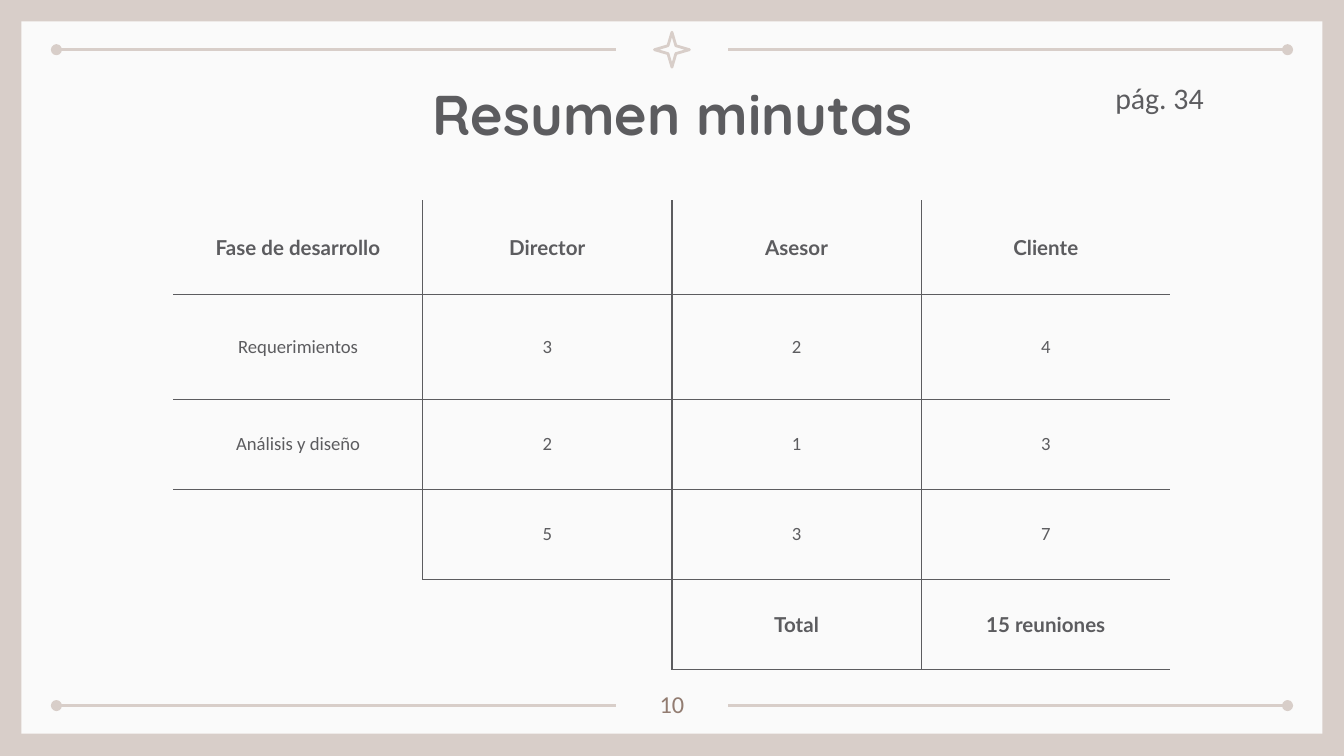
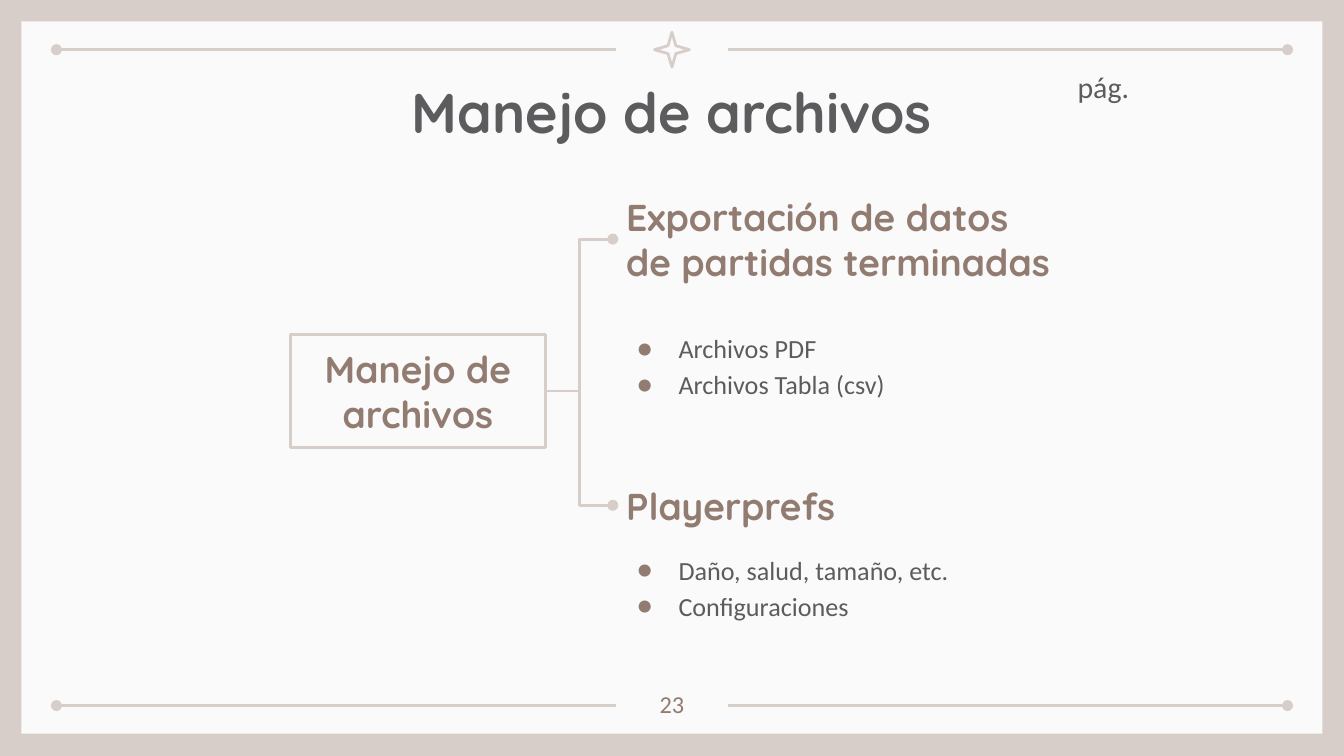
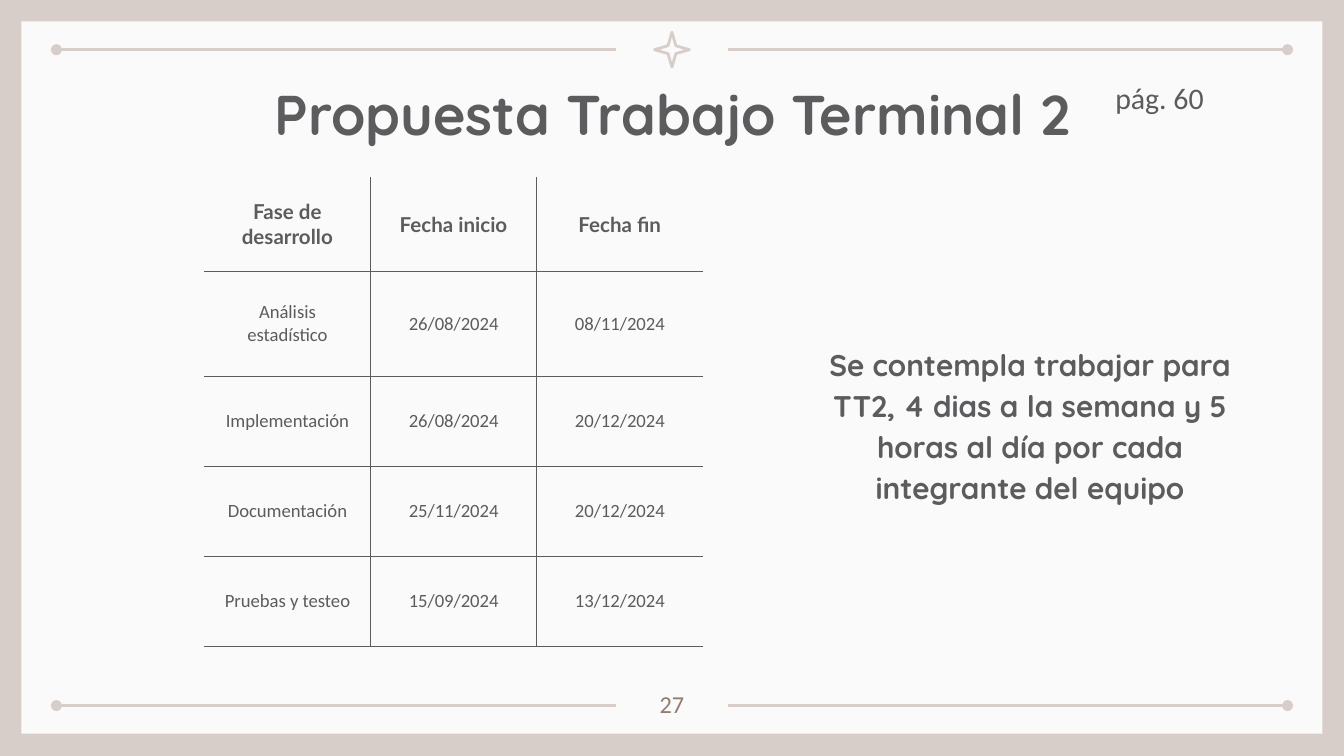
from pptx import Presentation
from pptx.dml.color import RGBColor
from pptx.enum.shapes import MSO_CONNECTOR as CONN, MSO_SHAPE as SHAPE
from pptx.enum.text import MSO_ANCHOR as ANCHOR, PP_ALIGN as ALIGN
from pptx.oxml.ns import qn
from pptx.util import Inches, Pt
from lxml.etree import SubElement

SAND, PAPER, GREY, BROWN = "D8CEC9", "FAFAFA", "5C5C5F", "927C71"
HEAD, BODY, STRONG = "Quicksand", "Calibri", "Lato"
WIDTH = 10
HEIGHT = WIDTH * 9 / 16
TITLE_BOX = (0.79, 0.49, 8.43, 0.63)
PAGE_BOX = (8.2, 0.49, 1.35, 0.45)
ROW_HEIGHTS = (0.7, 0.78, 0.67, 0.67, 0.67)


def rgb(value):
    """Turn a hex string into a colour."""
    return RGBColor.from_string(value)


def add_run(p, text, size, font, color, bold=False):
    """Add one formatted run to a paragraph."""
    r = p.add_run()
    r.text = text
    r.font.size, r.font.name, r.font.bold = Pt(size), font, bold
    r.font.color.rgb = rgb(color)


def open_frame(sp, anchor=ANCHOR.TOP):
    """Return a shape's text frame, wrapped and with even margins."""
    tf = sp.text_frame
    tf.word_wrap = True
    tf.vertical_anchor = anchor
    tf.margin_left = tf.margin_right = tf.margin_top = tf.margin_bottom = Inches(0.1)
    return tf


def set_text(sp, text, size, font, color, bold=False, align=ALIGN.LEFT,
             anchor=ANCHOR.TOP, spacing=None):
    """Fill a shape with one wrapped paragraph."""
    p = open_frame(sp, anchor).paragraphs[0]
    p.alignment = align
    if spacing:
        p.line_spacing = spacing
    add_run(p, text, size, font, color, bold)


def add_text(s, box, *args, **style):
    """Add a text box with one paragraph."""
    sp = s.shapes.add_textbox(*map(Inches, box))
    set_text(sp, *args, **style)
    return sp


def add_box(s, kind, box, fill=None, line=None):
    """Add a preset shape with a plain fill or outline."""
    sp = s.shapes.add_shape(kind, *map(Inches, box))
    sp.shadow.inherit = False
    if fill:
        sp.fill.solid()
        sp.fill.fore_color.rgb = rgb(fill)
    else:
        sp.fill.background()
    if line:
        sp.line.color.rgb = rgb(line)
        sp.line.width = Pt(1.5)
    else:
        sp.line.fill.background()
    return sp


def add_dotted_line(s, kind, x1, y1, x2, y2):
    """Add a connector that ends in a dot."""
    c = s.shapes.add_connector(kind, *map(Inches, (x1, y1, x2, y2)))
    c.line.color.rgb = rgb(SAND)
    c.line.width = Pt(1.5)
    spPr = c._element.spPr
    SubElement(spPr.find(qn("a:ln")), qn("a:tailEnd"), type="oval")
    SubElement(spPr, qn("a:effectLst"))
    return c


def add_frame(s, number):
    """Draw the border, rules, star and slide number."""
    s.background.fill.solid()
    s.background.fill.fore_color.rgb = rgb(SAND)
    add_box(s, SHAPE.RECTANGLE, (0.16, 0.16, 9.68, 5.3), fill=PAPER)
    for y in (0.37, 5.25):
        for inner, outer in ((4.58, 0.42), (5.42, 9.58)):
            add_dotted_line(s, CONN.STRAIGHT, inner, y, outer, y)
    star = add_box(s, SHAPE.STAR_4_POINT, (4.87, 0.24, 0.26, 0.26), line=SAND)
    star.adjustments[0] = 0.16
    add_text(s, (4.7, 5.03, 0.6, 0.36), number, 13, BODY, BROWN, align=ALIGN.CENTER)


def new_slide(prs, number, title, page, title_box=TITLE_BOX, page_box=PAGE_BOX):
    """Add a framed slide with its title and page reference."""
    s = prs.slides.add_slide(prs.slide_layouts[6])
    add_frame(s, number)
    add_text(s, title_box, title, 30, HEAD, GREY, True, ALIGN.CENTER)
    add_text(s, page_box, page, 16, BODY, GREY)
    return s


def set_borders(cell, edges):
    """Draw or clear each edge of a cell."""
    tcPr = cell._tc.get_or_add_tcPr()
    for side, shown in edges.items():
        ln = SubElement(tcPr, qn("a:ln" + side), w=str(Pt(0.75)))
        if shown:
            SubElement(SubElement(ln, qn("a:solidFill")), qn("a:srgbClr"), val=GREY)
        else:
            SubElement(ln, qn("a:noFill"))


def add_grid(s, left, top, width, rows, strong_rows):
    """Add a table ruled inside and below its filled cells."""
    n_rows, n_cols = len(rows), len(rows[0])
    box = map(Inches, (left, top, width, sum(ROW_HEIGHTS)))
    table = s.shapes.add_table(n_rows, n_cols, *box).table
    table.first_row = table.horz_banding = False
    for col in table.columns:
        col.width = Inches(width / n_cols)
    for row, height in zip(table.rows, ROW_HEIGHTS):
        row.height = Inches(height)

    def ruled(i, j, i2, j2):
        return any(rows[a][b] for a, b in ((i, j), (i2, j2)))

    for i, texts in enumerate(rows):
        for j, text in enumerate(texts):
            cell = table.cell(i, j)
            set_borders(cell, {
                "L": j > 0 and ruled(i, j, i, j - 1),
                "R": j < n_cols - 1 and ruled(i, j, i, j + 1),
                "T": i > 0 and ruled(i, j, i - 1, j),
                "B": ruled(i, j, min(i + 1, n_rows - 1), j)})
            cell.fill.background()
            cell.vertical_anchor = ANCHOR.MIDDLE
            cell.margin_left = cell.margin_right = Inches(0.1)
            cell.margin_top = cell.margin_bottom = 0
            if not text:
                continue
            p = cell.text_frame.paragraphs[0]
            p.alignment = ALIGN.CENTER
            if i:
                p.space_after = Pt(16)
            strong = i in strong_rows
            add_run(p, text, 11 if strong else 10, STRONG if strong else BODY, GREY, strong)


def add_bullets(s, box, items):
    """Add a bulleted list."""
    tf = open_frame(s.shapes.add_textbox(*map(Inches, box)))
    for i, item in enumerate(items):
        p = tf.add_paragraph() if i else tf.paragraphs[0]
        p.line_spacing = 1.15
        pPr = p._p.get_or_add_pPr()
        pPr.set("marL", str(Inches(0.31)))
        pPr.set("indent", str(Inches(-0.35)))
        SubElement(SubElement(pPr, qn("a:buClr")), qn("a:srgbClr"), val=BROWN)
        SubElement(pPr, qn("a:buFont"), typeface=BODY)
        SubElement(pPr, qn("a:buChar"), char="●")
        add_run(p, item, 14, BODY, GREY)


def add_branch(s, root, top, width, height, heading, list_top, items):
    """Add a heading joined to the root, with its list."""
    left = 4.56
    sp = add_text(s, (left, top, width, height), heading, 20, HEAD, BROWN, True,
                  anchor=ANCHOR.MIDDLE)
    c = add_dotted_line(s, CONN.ELBOW, 4.06, 2.91, left, top + height / 2)
    c.begin_connect(root, 3)
    c.end_connect(sp, 1)
    add_bullets(s, (left + 0.08, list_top, 2.88, 0.72), items)


def minutes_slide(prs):
    """Build the summary of meetings."""
    s = new_slide(prs, "10", "Resumen minutas", "pág. 34")
    add_grid(s, 1.29, 1.49, 7.42, [
        ("Fase de desarrollo", "Director", "Asesor", "Cliente"),
        ("Requerimientos", "3", "2", "4"),
        ("Análisis y diseño", "2", "1", "3"),
        ("", "5", "3", "7"),
        ("", "", "Total", "15 reuniones")], strong_rows=(0, 4))


def files_slide(prs):
    """Build the file handling tree."""
    s = new_slide(prs, "23", "Manejo de archivos", "pág.",
                  (1.74, 0.48, 6.52, 0.68), (7.92, 0.41, 1.64, 0.45))
    root = add_box(s, SHAPE.RECTANGLE, (2.16, 2.49, 1.9, 0.84), line=SAND)
    set_text(root, "Manejo de archivos", 20, HEAD, BROWN, True, ALIGN.CENTER, ANCHOR.MIDDLE)
    add_branch(s, root, 1.48, 3.44, 0.6, "Exportación de datos de partidas terminadas",
               2.34, ("Archivos PDF", "Archivos Tabla (csv)"))
    add_branch(s, root, 3.53, 2.34, 0.46, "Playerprefs",
               3.99, ("Daño, salud, tamaño, etc.", "Configuraciones"))


def proposal_slide(prs):
    """Build the schedule and its note."""
    s = new_slide(prs, "27", "Propuesta Trabajo Terminal 2", "pág. 60")
    add_grid(s, 1.52, 1.32, 3.71, [
        ("Fase de desarrollo", "Fecha inicio", "Fecha fin"),
        ("Análisis estadístico", "26/08/2024", "08/11/2024"),
        ("Implementación", "26/08/2024", "20/12/2024"),
        ("Documentación", "25/11/2024", "20/12/2024"),
        ("Pruebas y testeo", "15/09/2024", "13/12/2024")], strong_rows=(0,))
    note = add_box(s, SHAPE.RECTANGLE, (5.88, 1.54, 3.57, 3.22), fill=PAPER)
    set_text(note, "Se contempla trabajar para TT2, 4 dias a la semana y 5 horas al día "
             "por cada integrante del equipo", 16, HEAD, GREY, True, ALIGN.CENTER,
             ANCHOR.MIDDLE, 1.15)


def main():
    """Build and save the slides."""
    prs = Presentation()
    prs.slide_width, prs.slide_height = Inches(WIDTH), Inches(HEIGHT)
    minutes_slide(prs)
    files_slide(prs)
    proposal_slide(prs)
    prs.save("out.pptx")


if __name__ == "__main__":
    main()
